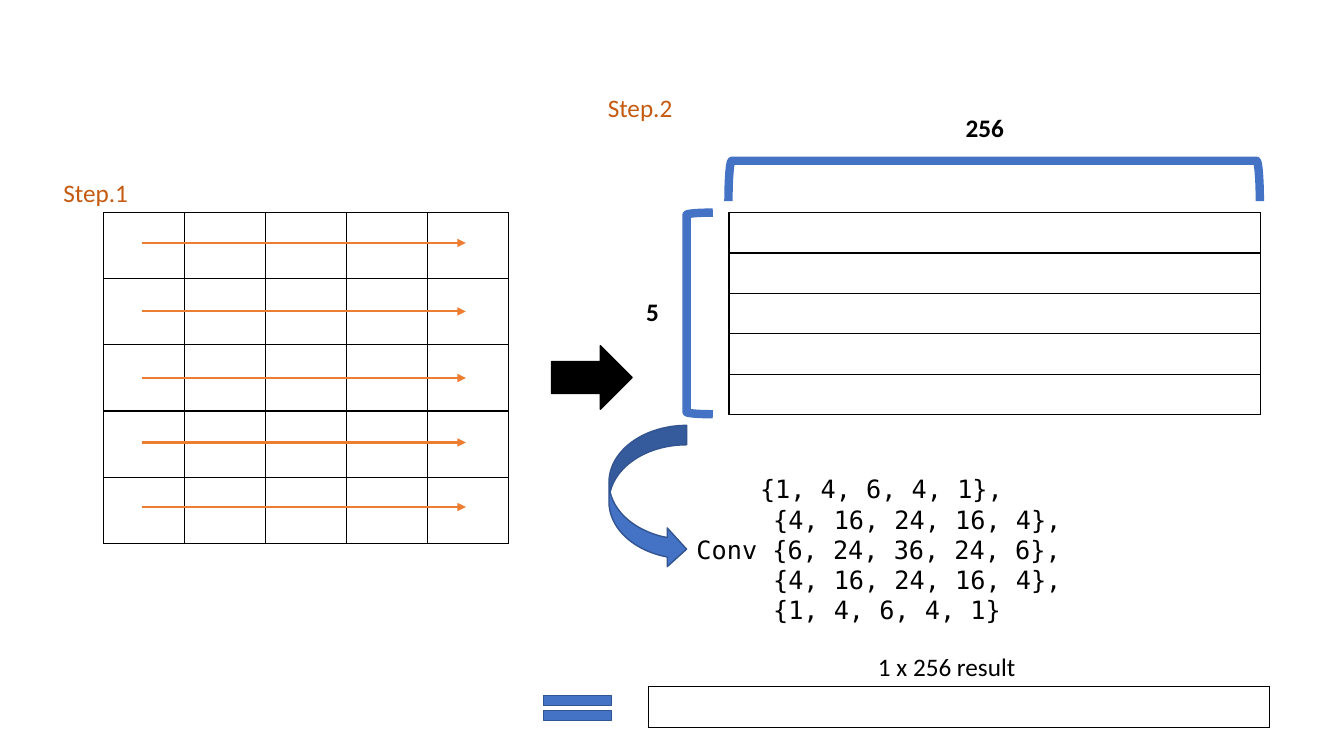
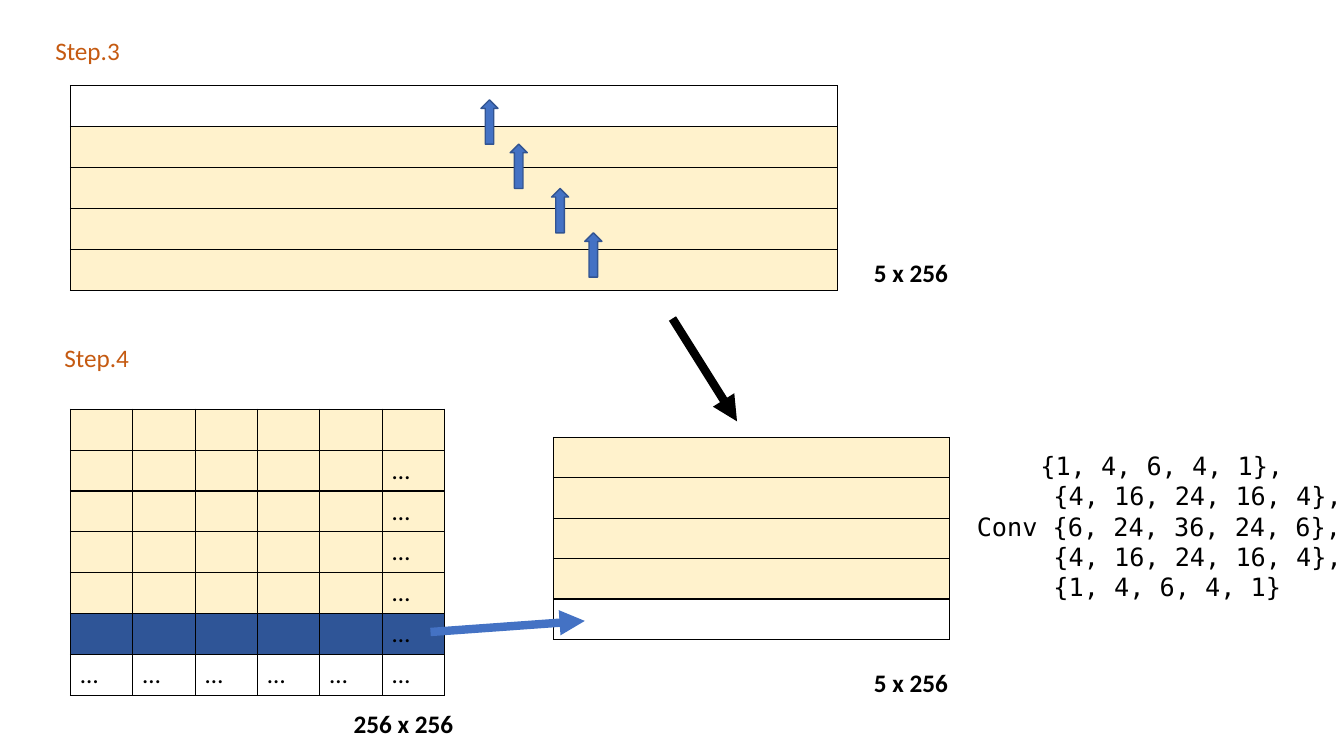
from dataclasses import dataclass
from typing import NamedTuple, Optional

from pptx import Presentation, util as u
from pptx.dml.color import RGBColor
from pptx.enum import shapes, text
from pptx.oxml import parse_xml
from pptx.oxml.ns import nsdecls, qn

SCALE = 9144  # EMU in one px, 100 px to the inch
KIND = shapes.MSO_SHAPE


@dataclass(frozen=True)
class Theme:
    black: str = "000000"
    white: str = "FFFFFF"
    blue: str = "4472C4"
    edge: str = "325491"
    navy: str = "2F5597"
    cream: str = "FFF2CC"
    orange: str = "ED7D31"
    rust: str = "C55A11"
    font: str = "Calibri"
    mono: str = "DejaVu Sans Mono"
    size: int = 18


T = Theme()


class Box(NamedTuple):
    x: int
    y: int
    w: int
    h: int


class Label(NamedTuple):
    text: str
    x: int
    y: int
    w: int = 100
    color: str = T.black
    bold: bool = False


class Line(NamedTuple):
    x: int
    y: int
    to_x: int
    to_y: int
    color: str
    width: float


class Form(NamedTuple):
    kind: KIND
    box: Box
    fill: Optional[str] = T.blue
    line: str = T.edge
    width: float = 1
    turn: int = 0


class Cell(NamedTuple):
    fill: Optional[str] = T.white
    text: str = ""


class Row(NamedTuple):
    text: str
    indent: int = 0


KERNEL = (
    Row("{1, 4, 6, 4, 1},", 63),
    Row("{4, 16, 24, 16, 4},", 76),
    Row("Conv {6, 24, 36, 24, 6},"),
    Row("{4, 16, 24, 16, 4},", 76),
    Row("{1, 4, 6, 4, 1}", 76),
)


def px(n: int) -> u.Emu:
    return u.Emu(n * SCALE)


def rgb(color: str) -> RGBColor:
    return RGBColor.from_string(color)


def write(frame, *rows: Row, color: str = T.black, bold: bool = False,
          font: str = T.font) -> None:
    """Fill a text frame with one paragraph for each row."""
    for i, row in enumerate(rows):
        para = frame.add_paragraph() if i else frame.paragraphs[0]
        if row.indent:
            para._p.get_or_add_pPr().set("marL", str(px(row.indent)))
        run = para.add_run()
        run.text = row.text
        run.font.name = font
        run.font.size = u.Pt(T.size)
        run.font.bold = bold
        run.font.color.rgb = rgb(color)


def add_text(slide, box: Box, *rows: Row, **style) -> None:
    frame = slide.shapes.add_textbox(*map(px, box)).text_frame
    frame.word_wrap = True
    frame.auto_size = text.MSO_AUTO_SIZE.SHAPE_TO_FIT_TEXT
    write(frame, *rows, **style)


def add_label(slide, label: Label) -> None:
    box = Box(label.x, label.y, label.w, 40)
    add_text(slide, box, Row(label.text), color=label.color, bold=label.bold)


def add_step(slide, num: int, x: int, y: int) -> None:
    add_label(slide, Label(f"Step.{num}", x, y, color=T.rust))


def add_kernel(slide, x: int, y: int) -> None:
    add_text(slide, Box(x, y, 626, 192), *KERNEL, font=T.mono)


def add_form(slide, form: Form) -> None:
    shape = slide.shapes.add_shape(form.kind, *map(px, form.box))
    shape.shadow.inherit = False
    shape.rotation = form.turn
    if form.fill:
        shape.fill.solid()
        shape.fill.fore_color.rgb = rgb(form.fill)
    else:
        shape.fill.background()
    shape.line.color.rgb = rgb(form.line)
    shape.line.width = u.Pt(form.width)


def add_arrow(slide, line: Line) -> None:
    arrow = slide.shapes.add_connector(
        shapes.MSO_CONNECTOR.STRAIGHT, *map(px, line[:4]))
    arrow.line.color.rgb = rgb(line.color)
    arrow.line.width = u.Pt(line.width)
    props = arrow._element.spPr
    props.find(qn("a:ln")).append(
        parse_xml(f'<a:tailEnd {nsdecls("a")} type="triangle"/>'))
    props.append(parse_xml(f'<a:effectLst {nsdecls("a")}/>'))


def frame_cell(cell) -> None:
    """Draw a thin black border on all four sides."""
    props = cell._tc.get_or_add_tcPr()
    for i, side in enumerate("LRTB"):
        props.insert(i, parse_xml(
            f'<a:ln{side} {nsdecls("a")} w="{u.Pt(1)}"><a:solidFill>'
            f'<a:srgbClr val="{T.black}"/></a:solidFill></a:ln{side}>'))


def add_grid(slide, box: Box, cells: list[list[Cell]]) -> None:
    """Draw a table of equal cells."""
    rows, cols = len(cells), len(cells[0])
    table = slide.shapes.add_table(rows, cols, *map(px, box)).table
    table.first_row = table.horz_banding = False
    for col in table.columns:
        col.width = px(box.w) // cols
    for row, line in zip(table.rows, cells):
        row.height = px(box.h) // rows
        for cell, data in zip(row.cells, line):
            if data.fill:
                cell.fill.solid()
                cell.fill.fore_color.rgb = rgb(data.fill)
            else:
                cell.fill.background()
            frame_cell(cell)
            if data.text:
                write(cell.text_frame, Row(data.text))


def build_first(slide) -> None:
    add_grid(slide, Box(103, 211, 401, 328), [[Cell()] * 5] * 5)
    add_form(slide, Form(KIND.RIGHT_ARROW, Box(547, 343, 80, 63),
                         T.black, T.black))
    for y in (241, 309, 375, 439, 503):
        add_arrow(slide, Line(141, y, 462, y, T.orange, 1.5))
    add_step(slide, 1, 53, 171)

    add_grid(slide, Box(723, 211, 527, 200), [[Cell()]] * 5)
    for box, turn in ((Box(681, 211, 26, 200), 0), (Box(966, -84, 40, 527), 90)):
        add_form(slide, Form(KIND.LEFT_BRACKET, box, None, T.blue, 6, turn))
    add_label(slide, Label("256", 948, 107, 77, bold=True))
    add_label(slide, Label("5", 631, 289, 77, bold=True))
    add_kernel(slide, 681, 465)
    add_form(slide, Form(KIND.CURVED_RIGHT_ARROW, Box(604, 422, 77, 142)))
    add_form(slide, Form(KIND.MATH_EQUAL, Box(527, 681, 91, 42), width=0.25))
    add_grid(slide, Box(643, 681, 616, 41), [[Cell()]])
    add_label(slide, Label("1 x 256 result", 861, 641, 206))
    add_step(slide, 2, 593, 87)


def build_second(slide) -> None:
    cream, dots = Cell(T.cream), "…"
    add_grid(slide, Box(70, 85, 761, 203), [[Cell()]] + [[cream]] * 4)
    for i, x in enumerate((477, 506, 547, 580)):
        add_form(slide, Form(KIND.UP_ARROW, Box(x, 99 + 44 * i, 17, 44)))
    add_step(slide, 3, 45, 30)
    add_step(slide, 4, 54, 335)

    add_grid(slide, Box(70, 406, 371, 284), [
        [cream] * 6,
        *[[cream] * 5 + [Cell(T.cream, dots)]] * 4,
        [Cell(T.navy)] * 5 + [Cell(T.navy, dots)],
        [Cell(None, dots)] * 6,
    ])
    add_arrow(slide, Line(667, 316, 731, 418, T.black, 6))
    add_grid(slide, Box(549, 434, 393, 200), [[cream]] * 4 + [[Cell(None)]])
    add_arrow(slide, Line(427, 627, 580, 616, T.blue, 6))
    add_kernel(slide, 959, 442)
    for size, x, y in (("5 x 256", 857, 250), ("256 x 256", 341, 698),
                       ("5 x 256", 857, 657)):
        add_label(slide, Label(size, x, y, 143, bold=True))


def main() -> None:
    deck = Presentation()
    deck.slide_width, deck.slide_height = px(1333), px(750)
    for build in (build_first, build_second):
        build(deck.slides.add_slide(deck.slide_layouts[6]))
    deck.save("out.pptx")


if __name__ == "__main__":
    main()
